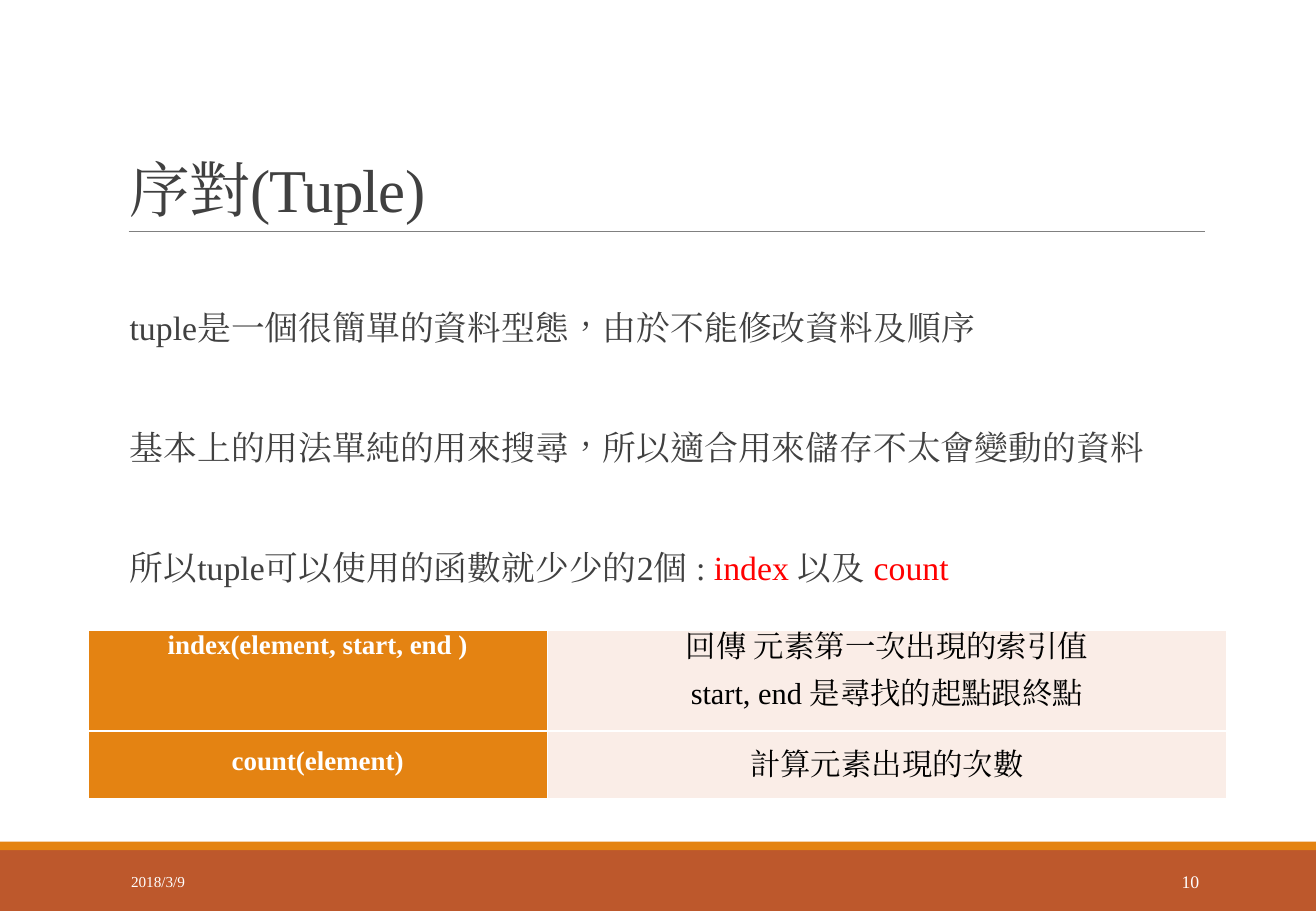
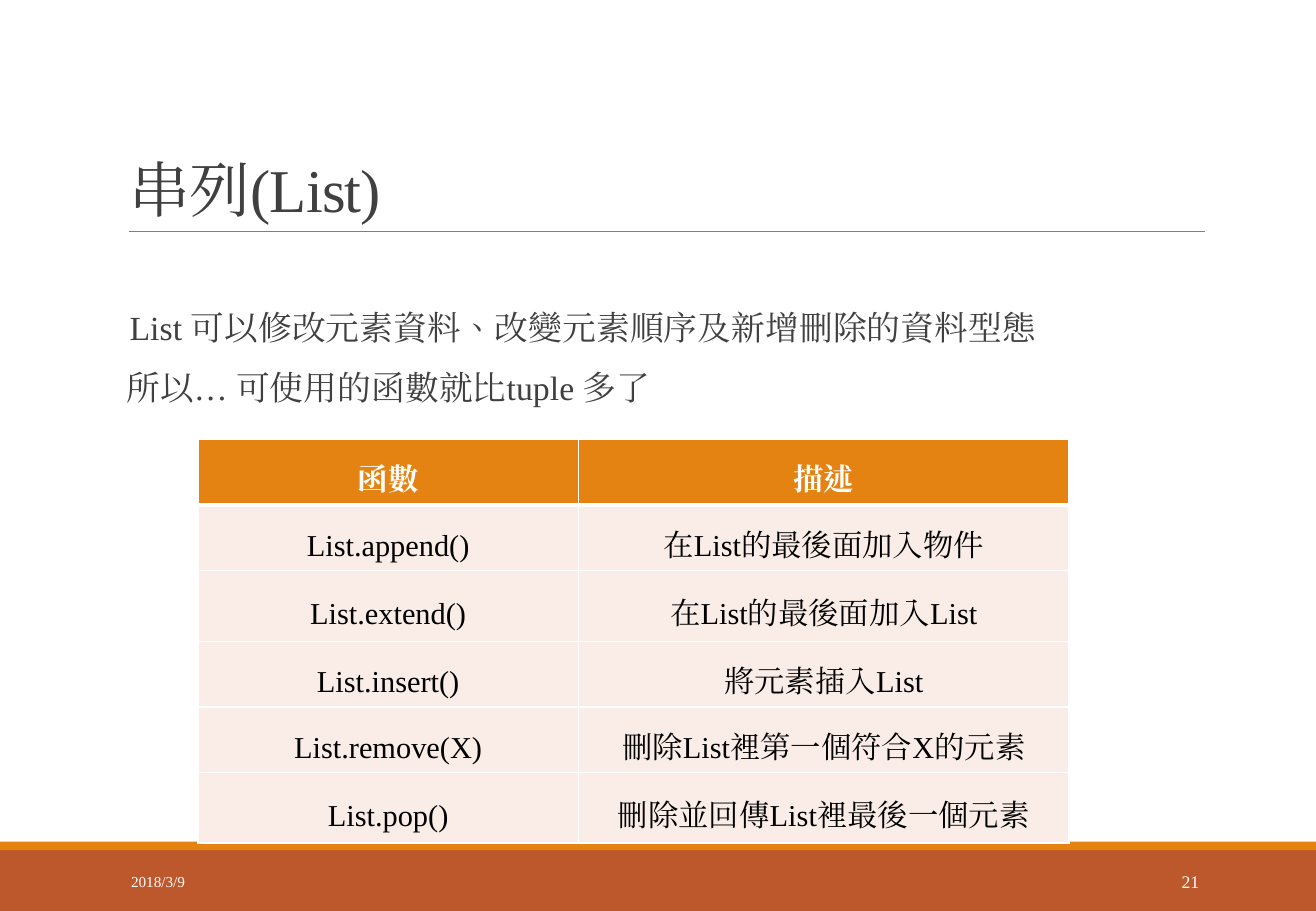
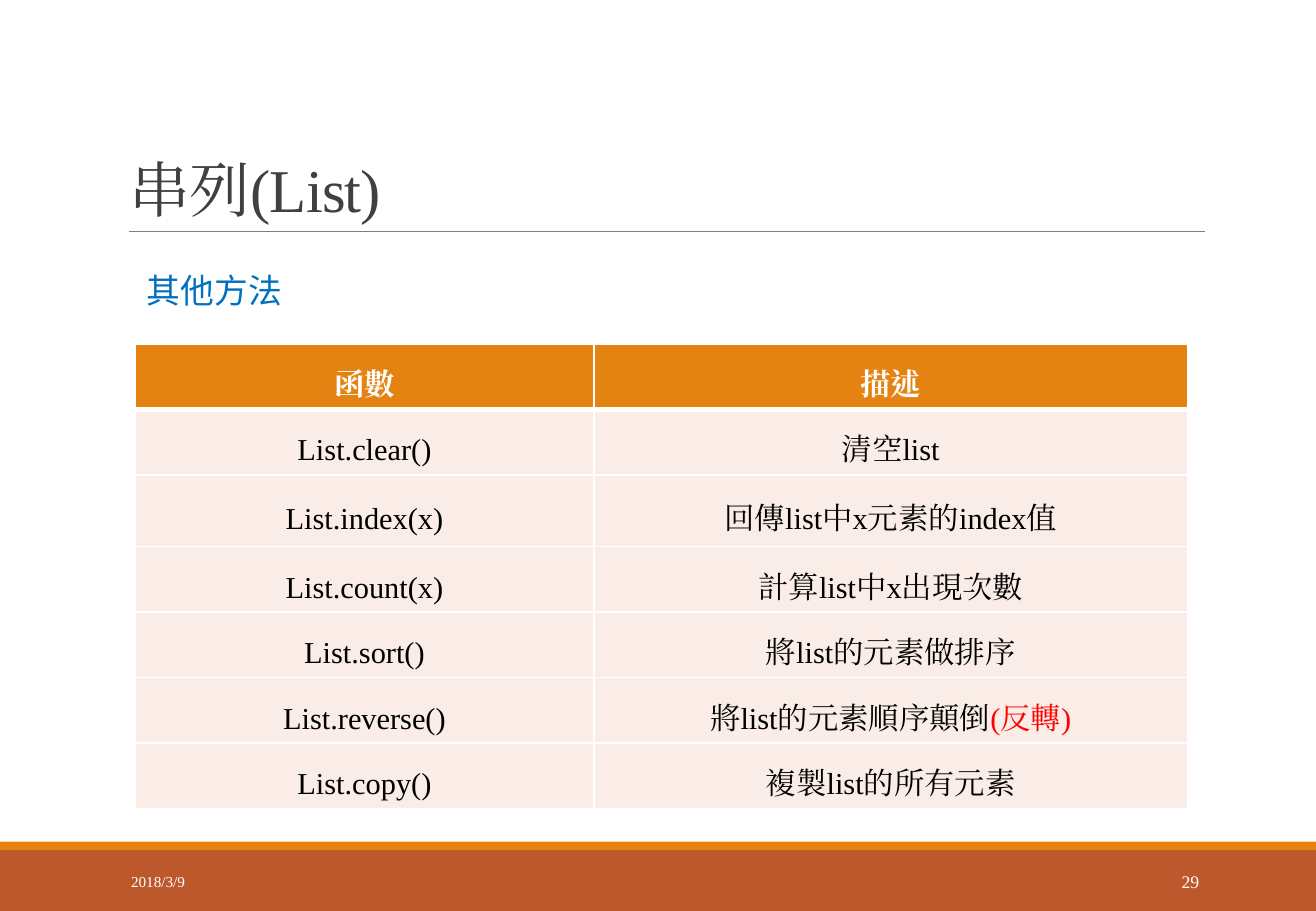
from lxml import etree
from pptx import Presentation
from pptx import util as u
from pptx.dml.color import RGBColor
from pptx.enum import shapes, text
from pptx.oxml.ns import qn

ORANGE, RUST, PALE = "E48312", "BD582C", "FAEDE7"
DARK, BLACK, WHITE = "404040", "000000", "FFFFFF"
RED, BLUE, GREY = "FF0000", "0070C0", "808080"
SERIF, SANS = "Times New Roman", "Noto Sans CJK SC"


def rgb(code):
    return RGBColor.from_string(code)


def box(*lengths):
    return [u.Cm(n) for n in lengths]


class Deck:
    """Holds the style and the slide being built."""

    def __init__(self):
        self.prs = Presentation()
        self.prs.slide_width, self.prs.slide_height = box(27.51, 19.05)
        self.s = None

    def slide(self, title, number, layout):
        self.s = self.prs.slides.add_slide(self.prs.slide_layouts[layout])
        self.band(17.78, 1.27, RUST)
        self.band(17.6, 0.18, ORANGE)
        self.rule(2.69, 25.2, 4.83)
        self.title(title)
        middle = text.MSO_ANCHOR.MIDDLE
        self.label("2018/3/9", (2.49, 17.93, 5.59, 1.02), 9, anchor=middle)
        self.label(number, (22.35, 17.93, 2.97, 1.02), 10.5, anchor=middle,
                   align=text.PP_ALIGN.RIGHT)

    def band(self, top, height, color):
        sp = self.s.shapes.add_shape(shapes.MSO_SHAPE.RECTANGLE,
                                     *box(0, top, 27.51, height))
        sp.shadow.inherit = False
        sp.fill.solid()
        sp.fill.fore_color.rgb = rgb(color)
        sp.line.fill.background()

    def rule(self, left, right, y):
        ln = self.s.shapes.add_connector(shapes.MSO_CONNECTOR.STRAIGHT,
                                         *box(left, y, right, y))
        ln.line.color.rgb = rgb(GREY)
        ln.line.width = u.Pt(0.5)
        etree.SubElement(ln._element.spPr, qn("a:effectLst"))

    def style_text(self, p, content, size, color, bold=False, font=SERIF):
        """Fill a paragraph; the parts between bars are red."""
        first, *rest = content.split("|")
        p.text = first
        for part in rest:
            p.add_run().text = part
        for i, r in enumerate(p.runs):
            r.font.size = u.Pt(size)
            r.font.bold = bold
            r.font.name = font
            r.font.color.rgb = rgb(RED if i % 2 else color)
            rPr = r.font._element
            rPr.set("lang", "zh-TW")
            ea = etree.Element(qn("a:ea"), typeface=font)
            rPr.find(qn("a:latin")).addnext(ea)

    def place(self, sp, lengths):
        sp.left, sp.top, sp.width, sp.height = box(*lengths)
        tf = sp.text_frame
        tf.auto_size = text.MSO_AUTO_SIZE.NONE
        tf.word_wrap = True
        return tf

    def title(self, content):
        tf = self.place(self.s.shapes.title, (2.46, 0.79, 22.71, 4.04))
        tf.vertical_anchor = text.MSO_ANCHOR.BOTTOM
        p = tf.paragraphs[0]
        p.alignment = text.PP_ALIGN.LEFT
        p.line_spacing = 0.85
        self.style_text(p, content, 36, DARK)
        for r in p.runs:
            r.font._element.set("spc", "-50")

    def body(self, items, gap):
        """Set (text, indent) items with a gap in points before each later one."""
        tf = self.place(self.s.placeholders[1], (2.46, 6.38, 24.36, 11.2))
        tf.margin_left = tf.margin_right = 0
        for i, (content, indent) in enumerate(items):
            p = tf.add_paragraph() if i else tf.paragraphs[0]
            p.line_spacing = 0.9
            p.space_before = u.Pt(gap if i else 0)
            p.space_after = u.Pt(2)
            self.style_text(p, content, 20, DARK)
            pPr = p._p.get_or_add_pPr()
            pPr.set("marL", str(u.Cm(indent)))
            pPr.set("indent", "0")
            etree.SubElement(pPr, qn("a:buNone"))

    def label(self, content, lengths, size, color=WHITE, font=SERIF,
              anchor=text.MSO_ANCHOR.TOP, align=text.PP_ALIGN.LEFT, wrap=True):
        tf = self.s.shapes.add_textbox(*box(*lengths)).text_frame
        tf.word_wrap = wrap
        tf.vertical_anchor = anchor
        p = tf.paragraphs[0]
        p.alignment = align
        self.style_text(p, content, size, color, font=font)

    def table(self, left, top, widths, heights, rows, by_column=False):
        """Draw a table whose headings are its first row, or its first column."""
        frame = self.s.shapes.add_table(
            len(rows), len(widths), *box(left, top, sum(widths), sum(heights)))
        tbl = frame.table
        tbl.first_row, tbl.first_col = not by_column, by_column
        tbl.horz_banding = False
        for col, width in zip(tbl.columns, widths):
            col.width = u.Cm(width)
        for row, height in zip(tbl.rows, heights):
            row.height = u.Cm(height)
        for i, row in enumerate(rows):
            spacing = 1 if by_column and i == 0 else 1.5
            for j, content in enumerate(row):
                c = tbl.cell(i, j)
                heading = (j if by_column else i) == 0
                c.vertical_anchor = (text.MSO_ANCHOR.TOP if by_column
                                     else text.MSO_ANCHOR.MIDDLE)
                self.cell(c, content, heading, 16 if by_column and heading else 18,
                          spacing)
                self.borders(c, top=3 if i == 1 and not by_column else 1,
                             bottom=3 if i == 0 and not by_column else 1)

    def cell(self, c, content, heading, size, spacing):
        c.margin_left = c.margin_right = u.Cm(0.18)
        c.margin_top = c.margin_bottom = 0
        c.fill.solid()
        c.fill.fore_color.rgb = rgb(ORANGE if heading else PALE)
        tf = c.text_frame
        for i, line in enumerate(content.split("\n")):
            p = tf.add_paragraph() if i else tf.paragraphs[0]
            p.alignment = text.PP_ALIGN.CENTER
            p.line_spacing = spacing
            p.space_after = u.Pt(8)
            self.style_text(p, line, size, WHITE if heading else BLACK, heading)

    def borders(self, c, top, bottom):
        tcPr = c._tc.get_or_add_tcPr()
        sides = (("L", 1), ("R", 1), ("T", top), ("B", bottom))
        for i, (side, width) in enumerate(sides):
            ln = etree.Element(qn("a:ln" + side), w=str(u.Pt(width)))
            fill = etree.SubElement(ln, qn("a:solidFill"))
            etree.SubElement(fill, qn("a:srgbClr"), val=WHITE)
            tcPr.insert(i, ln)


TITLE_AND_BODY, TITLE_ONLY = 1, 5
HEADINGS = ("函數", "描述")


def main():
    d = Deck()

    d.slide("序對(Tuple)", "10", TITLE_AND_BODY)
    d.body([("tuple是一個很簡單的資料型態，由於不能修改資料及順序", 0.25),
            ("基本上的用法單純的用來搜尋，所以適合用來儲存不太會變動的資料", 0.25),
            ("所以tuple可以使用的函數就少少的2個 : |index |以及 |count", 0.25)],
           gap=47.5)
    d.table(1.84, 13.18, (9.6, 14.2), (2.11, 1.42), [
        ("index(element, start, end )",
         "回傳 元素第一次出現的索引值\nstart, end 是尋找的起點跟終點"),
        ("count(element)", "計算元素出現的次數"),
    ], by_column=True)

    d.slide("串列(List)", "21", TITLE_AND_BODY)
    d.body([("List 可以修改元素資料、改變元素順序及新增刪除的資料型態", 0.25),
            ("所以… 可使用的函數就比tuple 多了", 0.18)], gap=12)
    d.table(4.14, 9.19, (7.95, 10.26), (1.37, 1.37, 1.48, 1.37, 1.37, 1.48), [
        HEADINGS,
        ("List.append()", "在List的最後面加入物件"),
        ("List.extend()", "在List的最後面加入List"),
        ("List.insert()", "將元素插入List"),
        ("List.remove(X)", "刪除List裡第一個符合X的元素"),
        ("List.pop()", "刪除並回傳List裡最後一個元素"),
    ])

    d.slide("串列(List)", "29", TITLE_ONLY)
    d.table(2.82, 7.19, (9.6, 12.4), (1.37, 1.37, 1.5) + (1.37,) * 4, [
        HEADINGS,
        ("List.clear()", "清空list"),
        ("List.index(x)", "回傳list中x元素的index值"),
        ("List.count(x)", "計算list中x出現次數"),
        ("List.sort()", "將list的元素做排序"),
        ("List.reverse()", "將list的元素順序顛倒|(反轉)"),
        ("List.copy()", "複製list的所有元素"),
    ])
    d.label("其他方法", (2.82, 5.51, 3.35, 1.12), 20, BLUE, SANS, wrap=False)

    d.prs.save("out.pptx")


if __name__ == "__main__":
    main()
